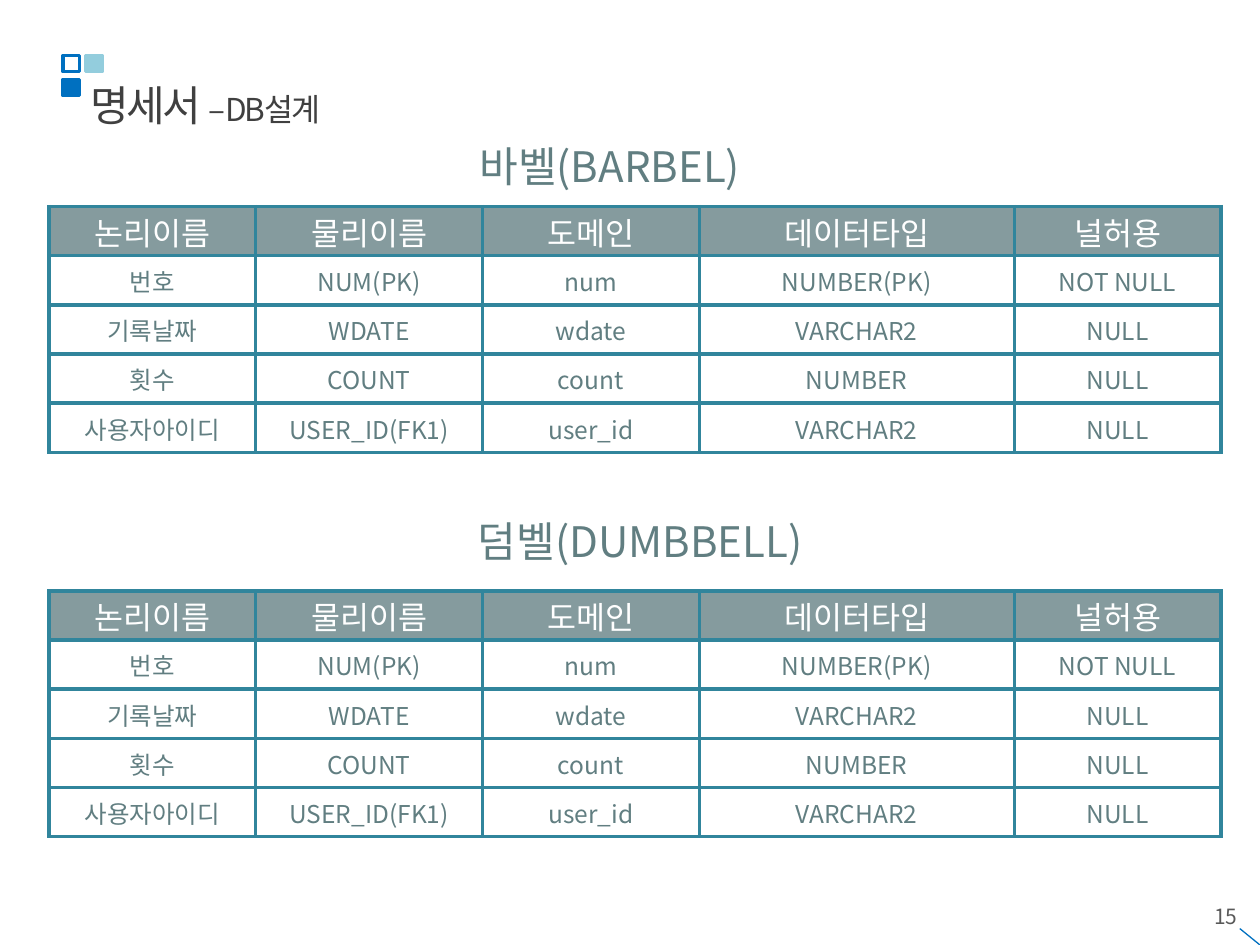
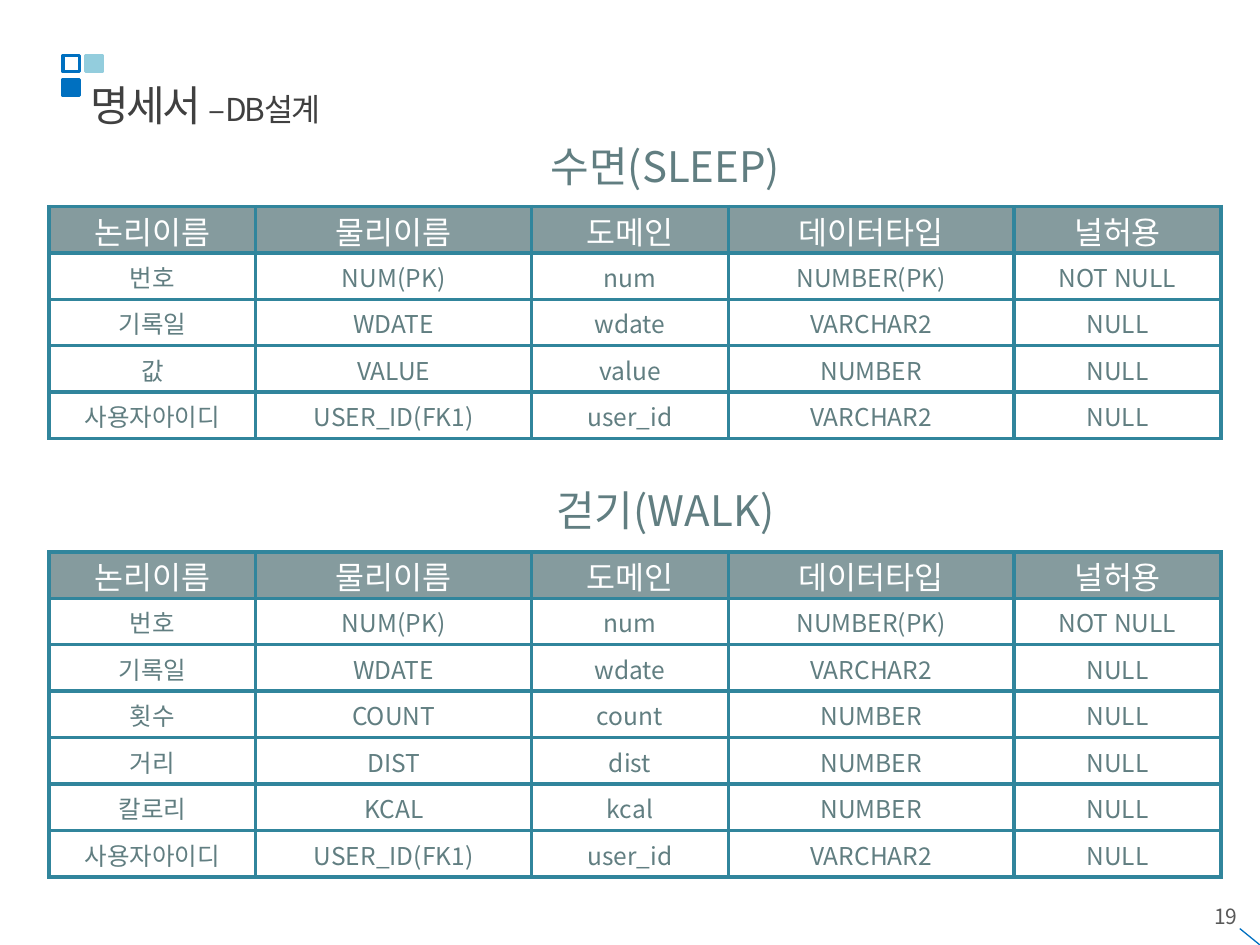
"""Build two database design slides, each with two table specifications."""
from lxml.etree import SubElement
from pptx import Presentation
from pptx.dml.color import RGBColor
from pptx.enum.shapes import MSO_CONNECTOR, MSO_SHAPE
from pptx.enum.text import MSO_ANCHOR, MSO_AUTO_SIZE, PP_ALIGN
from pptx.oxml.ns import qn
from pptx.util import Inches, Pt

FONT = "Noto Sans CJK KR"
COLORS = {
    "white": "FFFFFF",
    "slate": "617E81",
    "border": "31859C",
    "blue": "0070C0",
    "light_blue": "93CDDD",
    "title": "404040",
    "gray": "595959",
}

TITLE = [("명세서 ", 24), ("–DB설계", 18)]
HEADER = ("논리이름", "물리이름", "도메인", "데이터타입", "널허용")
NUMBER_KEY = ("번호", "NUM(PK)", "num", "NUMBER(PK)", "NOT NULL")
RECORD_DAY = ("기록일", "WDATE", "wdate", "VARCHAR2", "NULL")
COUNT = ("횟수", "COUNT", "count", "NUMBER", "NULL")
USER_KEY = ("사용자아이디", "USER_ID(FK1)", "user_id", "VARCHAR2", "NULL")
WEIGHT_ROWS = [
    HEADER,
    NUMBER_KEY,
    ("기록날짜", "WDATE", "wdate", "VARCHAR2", "NULL"),
    COUNT,
    USER_KEY,
]
SLEEP_ROWS = [
    HEADER,
    NUMBER_KEY,
    RECORD_DAY,
    ("값", "VALUE", "value", "NUMBER", "NULL"),
    USER_KEY,
]
WALK_ROWS = [
    HEADER,
    NUMBER_KEY,
    RECORD_DAY,
    COUNT,
    ("거리", "DIST", "dist", "NUMBER", "NULL"),
    ("칼로리", "KCAL", "kcal", "NUMBER", "NULL"),
    USER_KEY,
]
SLIDES = [
    {
        "number": "15",
        "columns": (1.64, 1.8, 1.72, 2.5, 1.64),
        "tables": [
            {"caption": "바벨(BARBEL)", "box": (3.59, 1.07, 2.5, 0.5),
             "top": 1.64, "height": 1.95, "rows": WEIGHT_ROWS},
            {"caption": "덤벨(DUMBBELL)", "box": (3.44, 4.04, 3.28, 0.5),
             "top": 4.69, "height": 1.95, "rows": WEIGHT_ROWS},
        ],
    },
    {
        "number": "19",
        "columns": (1.64, 2.19, 1.56, 2.27, 1.64),
        "tables": [
            {"caption": "수면(SLEEP)", "box": (3.52, 1.07, 3.52, 0.5),
             "top": 1.64, "height": 1.84, "rows": SLEEP_ROWS},
            {"caption": "걷기(WALK)", "box": (3.52, 3.8, 3.52, 0.5),
             "top": 4.38, "height": 2.58, "rows": WALK_ROWS},
        ],
    },
]
SQUARES = [
    (0.5, 0.63, "blue", "blue"),
    (0.5, 0.44, None, "blue"),
    (0.68, 0.44, "light_blue", "light_blue"),
]
SQUARE_SIZE = 0.13
TABLE_LEFT = 0.39


def rgb(name):
    return RGBColor.from_string(COLORS[name])


def add_solid_fill(parent, color, alpha=None):
    fill = SubElement(parent, qn("a:solidFill"))
    value = SubElement(fill, qn("a:srgbClr"), val=COLORS[color])
    if alpha is not None:
        SubElement(value, qn("a:alpha"), val=str(alpha * 1000))


def add_text(paragraph, text, size, color, align=PP_ALIGN.CENTER, spacing=None, outlined=False):
    paragraph.alignment = align
    run = paragraph.add_run()
    run.text = text
    run.font.size = Pt(size)
    run.font.name = FONT
    run.font.color.rgb = rgb(color)
    properties = run.font._element
    SubElement(properties, qn("a:ea"), typeface=FONT)
    if spacing is not None:
        properties.set("spc", str(int(spacing * 100)))
    if outlined:
        outline = SubElement(properties, qn("a:ln"), w=str(Pt(0.75)))
        add_solid_fill(outline, "gray", 5)
        properties.insert(0, outline)


def add_text_box(slide, box, text, size, color, **text_format):
    frame = slide.shapes.add_textbox(*map(Inches, box)).text_frame
    frame.word_wrap = True
    add_text(frame.paragraphs[0], text, size, color, **text_format)


def set_title(slide):
    title = slide.shapes.title
    title.left, title.top, title.width, title.height = map(Inches, (0.62, 0.58, 8.59, 0.5))
    frame = title.text_frame
    frame.word_wrap = True
    frame.auto_size = MSO_AUTO_SIZE.SHAPE_TO_FIT_TEXT
    frame.vertical_anchor = MSO_ANCHOR.TOP
    for text, size in TITLE:
        add_text(frame.paragraphs[0], text, size, "title",
                 align=PP_ALIGN.LEFT, spacing=-1.5, outlined=True)


def add_decoration(slide, number):
    add_text_box(slide, (7.59, 7.12, 2.33, 0.4), number, 12, "gray",
                 align=PP_ALIGN.RIGHT, outlined=True)
    corner = slide.shapes.add_connector(
        MSO_CONNECTOR.STRAIGHT, *map(Inches, (10, 7.5, 9.84, 7.37)))
    corner.line.color.rgb = rgb("blue")
    corner.line.width = Pt(0.75)
    SubElement(corner._element.spPr, qn("a:effectLst"))
    for left, top, fill, line in SQUARES:
        square = slide.shapes.add_shape(
            MSO_SHAPE.RECTANGLE, *map(Inches, (left, top, SQUARE_SIZE, SQUARE_SIZE)))
        square.shadow.inherit = False
        if fill:
            square.fill.solid()
            square.fill.fore_color.rgb = rgb(fill)
        else:
            square.fill.background()
        square.line.color.rgb = rgb(line)
        square.line.width = Pt(2)


def format_cell(cell, text, is_header):
    cell.vertical_anchor = MSO_ANCHOR.MIDDLE
    cell.margin_left = cell.margin_right = cell.margin_top = Inches(0.01)
    cell.margin_bottom = 0
    properties = cell._tc.get_or_add_tcPr()
    for side in ("lnL", "lnR", "lnT", "lnB"):
        border = SubElement(properties, qn(f"a:{side}"), w=str(Pt(2.25)))
        add_solid_fill(border, "border")
    if is_header:
        add_solid_fill(properties, "slate", 77)
    else:
        cell.fill.background()
    size, color = (18, "white") if is_header else (14, "slate")
    add_text(cell.text_frame.paragraphs[0], text, size, color)


def add_specification(slide, specification, columns):
    rows = specification["rows"]
    table = slide.shapes.add_table(
        len(rows), len(columns), Inches(TABLE_LEFT), Inches(specification["top"]),
        Inches(sum(columns)), Inches(specification["height"])).table
    table.first_row = table.horz_banding = False
    for column, width in zip(table.columns, columns):
        column.width = Inches(width)
    for row_index, row in enumerate(rows):
        for column_index, text in enumerate(row):
            format_cell(table.cell(row_index, column_index), text, row_index == 0)
    add_text_box(slide, specification["box"], specification["caption"], 24, "slate")


def main():
    presentation = Presentation()
    presentation.slide_width, presentation.slide_height = Inches(10), Inches(7.5)
    for content in SLIDES:
        slide = presentation.slides.add_slide(presentation.slide_layouts[5])
        add_decoration(slide, content["number"])
        for specification in content["tables"]:
            add_specification(slide, specification, content["columns"])
        set_title(slide)
    presentation.save("out.pptx")


if __name__ == "__main__":
    main()
